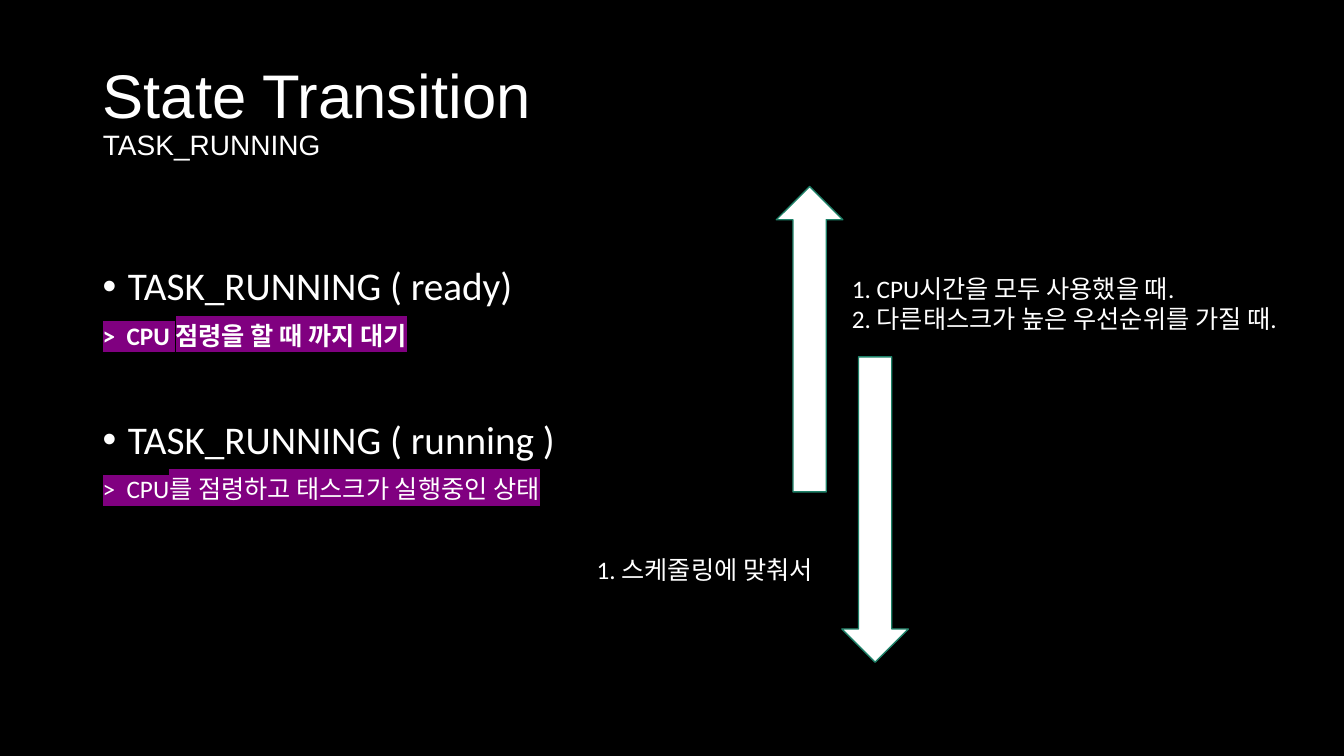
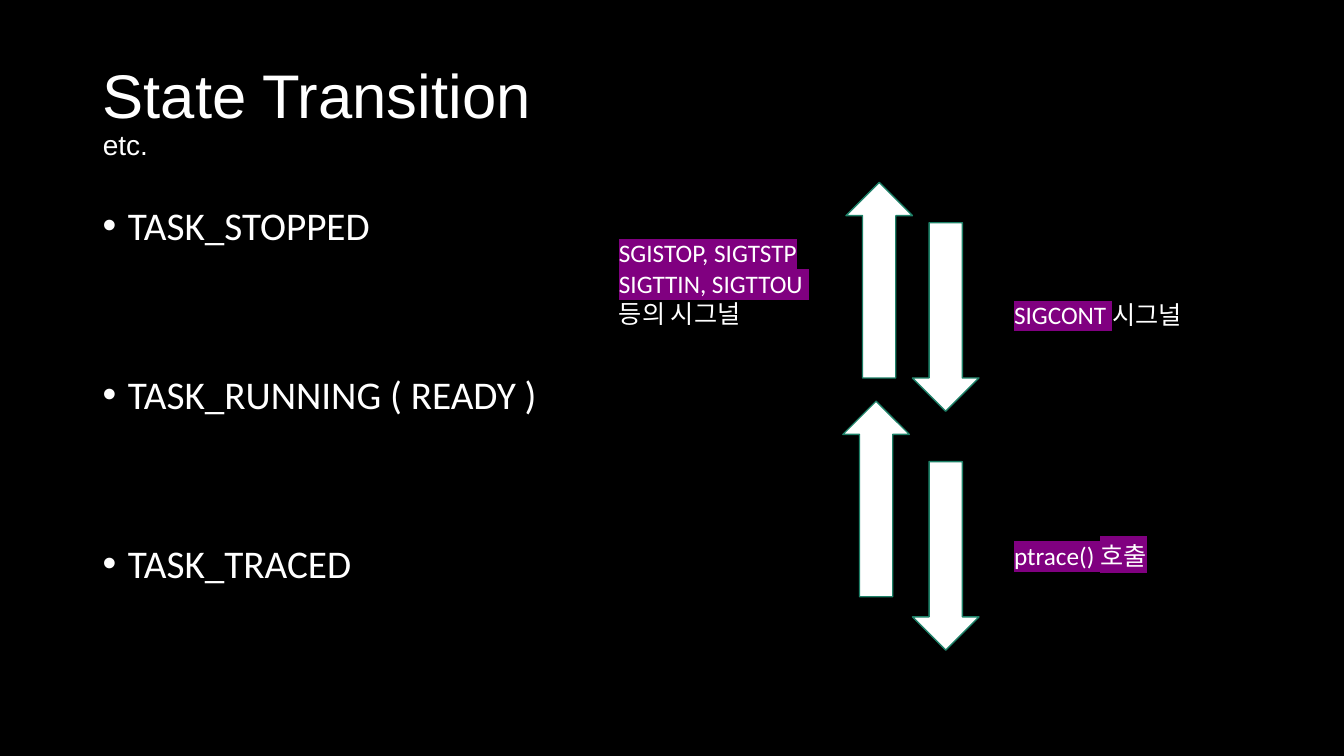
"""Builds two slides on task state transitions."""
from lxml.etree import SubElement
from pptx import Presentation
from pptx.dml.color import RGBColor
from pptx.enum.shapes import MSO_SHAPE as Shape
from pptx.enum.text import MSO_ANCHOR as Anchor, MSO_AUTO_SIZE as AutoSize, PP_ALIGN as Align
from pptx.oxml.ns import qn
from pptx.util import Inches, Pt

BLACK = RGBColor(0x00, 0x00, 0x00)
WHITE = RGBColor(0xFF, 0xFF, 0xFF)
GREEN = RGBColor(0x1E, 0x81, 0x68)
PURPLE = RGBColor(0x80, 0x00, 0x80)

TITLE_FONT, BODY_FONT = "Arial", "Calibri"
LEFT, WIDTH, BODY_BOTTOM = 0.92, 11.5, 6.76
ARROW_WIDTH = 0.66
UP, DOWN = Shape.UP_ARROW, Shape.DOWN_ARROW
PLAIN, MARKED = {}, {"highlight": PURPLE}

SLIDES = [
    {
        "subtitle": "TASK_RUNNING",
        "states_top": 2.6,
        "state_gap": 50,
        "states": [
            ("TASK_RUNNING ( ready)", ">  CPU 점령을 할 때 까지 대기", True),
            ("TASK_RUNNING ( running )", ">  CPU를 점령하고 태스크가 실행중인 상태", False),
        ],
        "arrows": [(DOWN, 8.35, 3.54, 3.03), (UP, 7.7, 1.85, 3.03)],
        "causes": [
            ((8.35, 2.66, 4.78, 0.71), [
                [("1. CPU시간을 모두 사용했을 때.", PLAIN)],
                [("2. 다른태스크가 높은 우선순위를 가질 때.", PLAIN)],
            ]),
            ((5.82, 5.45, 2.53, 0.4), [[("1. 스케줄링에 맞춰서", PLAIN)]]),
        ],
    },
    {
        "subtitle": "etc.",
        "states_top": 2.0,
        "state_gap": 90.5,
        "states": [
            ("TASK_STOPPED", None, False),
            ("TASK_RUNNING ( READY )", None, False),
            ("TASK_TRACED", None, False),
        ],
        "arrows": [
            (UP, 8.39, 1.81, 1.94), (DOWN, 9.05, 2.21, 1.87),
            (DOWN, 9.05, 4.58, 1.87), (UP, 8.36, 3.98, 1.94),
        ],
        "causes": [
            ((6.04, 2.31, 2.1, 1.01), [
                [("SGISTOP, SIGTSTP", MARKED)],
                [("SIGTTIN, SIGTTOU ", MARKED)],
                [("등의 시그널", PLAIN)],
            ]),
            ((9.96, 5.31, 1.57, 0.4), [[("ptrace() 호출", MARKED)]]),
            ((9.96, 2.92, 1.94, 0.4), [[("SIGCONT ", MARKED), ("시그널", PLAIN)]]),
        ],
    },
]


def write(paragraph, text, size=18, font=BODY_FONT, bold=False, highlight=None):
    run = paragraph.add_run()
    run.text = text
    run.font.size, run.font.bold = Pt(size), bold
    run.font.color.rgb = WHITE
    if highlight is not None:
        mark = SubElement(run.font._element, qn("a:highlight"))
        SubElement(mark, qn("a:srgbClr"), val=str(highlight))
    run.font.name = font


def next_paragraph(frame):
    first = frame.paragraphs[0]
    return frame.add_paragraph() if first.runs else first


def add_title(slide, subtitle):
    title = slide.shapes.title
    title.left, title.top = Inches(LEFT), Inches(0.4)
    title.width, title.height = Inches(WIDTH), Inches(1.45)
    frame = title.text_frame
    frame.auto_size, frame.vertical_anchor = AutoSize.NONE, Anchor.MIDDLE
    heading = frame.paragraphs[0]
    heading.alignment, heading.line_spacing = Align.LEFT, 0.9
    write(heading, "State Transition", size=44, font=TITLE_FONT)
    heading.add_line_break()
    write(heading, subtitle, size=20, font=TITLE_FONT)


def add_bullet(paragraph):
    props = paragraph._p.get_or_add_pPr()
    props.set("marL", str(Inches(0.25)))
    props.set("indent", str(-Inches(0.25)))
    SubElement(props, qn("a:buFont"), typeface="Arial")
    SubElement(props, qn("a:buChar"), char="•")


def add_states(slide, states, top, gap):
    box = slide.shapes.add_textbox(
        Inches(LEFT), Inches(top), Inches(WIDTH), Inches(BODY_BOTTOM - top))
    frame = box.text_frame
    frame.word_wrap = True
    for index, (state, meaning, bold) in enumerate(states):
        name = next_paragraph(frame)
        name.line_spacing, name.space_before = 0.9, Pt(gap if index else 0)
        add_bullet(name)
        write(name, state, size=28)
        if meaning:
            detail = next_paragraph(frame)
            detail.line_spacing, detail.space_before = 0.9, Pt(10)
            write(detail, meaning, bold=bold, highlight=PURPLE)


def add_arrow(slide, direction, left, top, height):
    arrow = slide.shapes.add_shape(
        direction, Inches(left), Inches(top), Inches(ARROW_WIDTH), Inches(height))
    arrow.shadow.inherit = False
    arrow.fill.solid()
    arrow.fill.fore_color.rgb = WHITE
    arrow.line.color.rgb = GREEN
    arrow.line.width = Pt(1)


def add_cause(slide, place, lines):
    frame = slide.shapes.add_textbox(*map(Inches, place)).text_frame
    frame.word_wrap = False
    frame.auto_size = AutoSize.SHAPE_TO_FIT_TEXT
    for line in lines:
        paragraph = next_paragraph(frame)
        for text, style in line:
            write(paragraph, text, **style)


def main():
    deck = Presentation()
    deck.slide_width, deck.slide_height = Inches(13.33), Inches(7.5)
    backdrop = deck.slide_master.background.fill
    backdrop.solid()
    backdrop.fore_color.rgb = BLACK
    for content in SLIDES:
        slide = deck.slides.add_slide(deck.slide_layouts.get_by_name("Title Only"))
        add_title(slide, content["subtitle"])
        add_states(slide, content["states"], content["states_top"], content["state_gap"])
        for arrow in content["arrows"]:
            add_arrow(slide, *arrow)
        for place, lines in content["causes"]:
            add_cause(slide, place, lines)
    deck.save("out.pptx")


if __name__ == "__main__":
    main()
